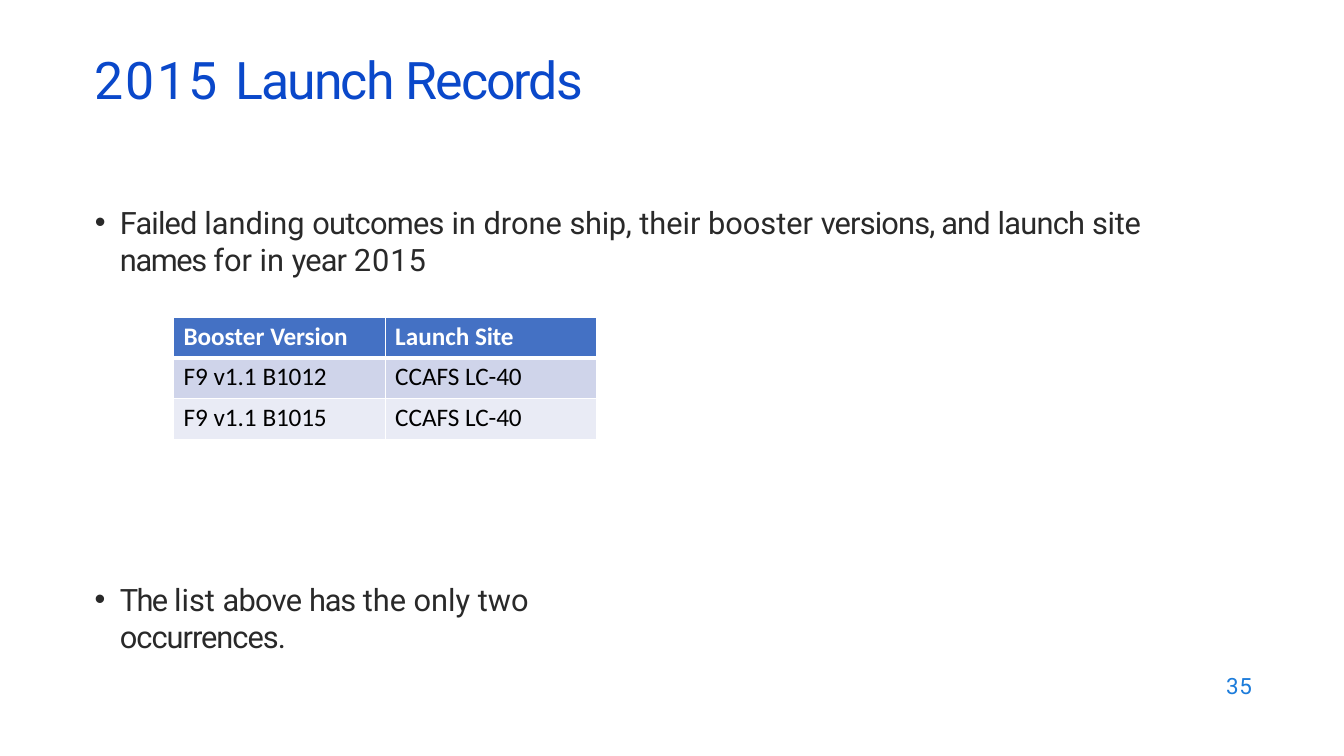
"""Build the slide of 2015 launch records."""
from dataclasses import dataclass

from lxml.etree import SubElement as Sub
from pptx import Presentation
from pptx.dml.color import RGBColor
from pptx.oxml.ns import qn
from pptx.util import Inches, Pt

NAVY = RGBColor(0x0A, 0x48, 0xCA)
INK = RGBColor(0x29, 0x29, 0x29)
SKY = RGBColor(0x1C, 0x7C, 0xDB)
WHITE = RGBColor(0xFF, 0xFF, 0xFF)
BLACK = RGBColor(0, 0, 0)
HEAD = RGBColor(0x44, 0x71, 0xC4)
BANDS = [RGBColor(0xCF, 0xD4, 0xEA), RGBColor(0xE9, 0xEB, 0xF5)]

Runs = list[tuple[str, float]]


@dataclass
class Style:
    face: str
    size: float
    color: RGBColor
    bold: bool = False
    left: float = 0
    hang: float = 0
    lead: float | None = None


@dataclass
class Box:
    at: tuple[float, float, float, float]
    style: Style
    runs: Runs
    top: float = 0.01


TITLE = Style("Roboto", 37, NAVY, left=0.01)
POINT = Style("Roboto", 22, INK, left=0.26, hang=-0.25)
PAGE = Style("Roboto", 16, SKY, left=0.04, lead=18.4)
LABEL = Style("Calibri", 18, WHITE, bold=True, left=0.1)
VALUE = Style("Calibri", 18, BLACK, left=0.1)

BOXES = [
    Box((0.93, 0.46, 10.85, 0.81), TITLE,
        [("2015 ", 1.6), ("Launch ", -1.3), ("Records", -1.4)]),
    Box((0.93, 2.01, 10.41, 0.76), POINT,
        [("Failed ", -0.6), ("landing ", 0), ("outcomes ", -0.5),
         ("in drone ", 0), ("ship, ", -0.2), ("their booster ", 0),
         ("versions, and ", -0.6), ("launch ", -0.5), ("site ", -0.2),
         ("names ", -1), ("for in ", 0), ("year ", -0.6), ("2015", 0.7)]),
    Box((0.93, 5.75, 6, 0.76), POINT,
        [("The ", -1.2), ("list ", 0), ("above ", -0.5), ("has ", -0.8),
         ("the only two ", 0), ("occurrences.", -0.7)]),
    Box((12.12, 6.68, 0.37, 0.28), PAGE, [("35", 0.5)], top=0),
]

SITE: Runs = [("CCAFS ", 0), ("LC-", -0.1), ("40", -0.2)]
ROWS: list[list[Runs]] = [
    [[("Booster ", 0), ("Version", -0.1)], [("Launch ", 0), ("Site", -0.2)]],
    [[("F9 v1.1 ", 0), ("B1012", -0.1)], SITE],
    [[("F9 v1.1 ", 0), ("B1015", -0.1)], SITE],
]
HIGH = [0.4, 0.4, 0.41]
WIDE = 2.1


def write(para, style: Style, runs: Runs) -> None:
    """Fill a paragraph with spaced runs in one style."""
    props = para._p.get_or_add_pPr()
    props.set("marL", str(Inches(style.left)))
    props.set("indent", str(Inches(style.hang)))
    if style.lead:
        para.line_spacing = Pt(style.lead)
    if style.hang:
        Sub(props, qn("a:buFont"), typeface="Arial")
        Sub(props, qn("a:buChar"), char="•")
    font = para.font
    font.name, font.size, font.bold = style.face, Pt(style.size), style.bold
    font.color.rgb = style.color
    for text, space in runs:
        run = para.add_run()
        run.text = text
        if space:
            run._r.get_or_add_rPr().set("spc", str(round(space * 100)))


def add_box(slide, box: Box) -> None:
    """Draw one text box."""
    frame = slide.shapes.add_textbox(*map(Inches, box.at)).text_frame
    frame.word_wrap = True
    frame.margin_left = frame.margin_right = frame.margin_bottom = 0
    frame.margin_top = Inches(box.top)
    write(frame.paragraphs[0], box.style, box.runs)


def edge(cell, side: str, width: float) -> None:
    """Give one side of a cell a white line."""
    props = cell._tc.get_or_add_tcPr()
    line = Sub(props, qn(f"a:ln{side}"), w=str(Pt(width)))
    fill = Sub(line, qn("a:solidFill"))
    Sub(fill, qn("a:srgbClr"), val=str(WHITE))


def add_grid(slide) -> None:
    """Draw the table of launches."""
    cols = len(ROWS[0])
    table = slide.shapes.add_table(
        len(ROWS), cols, Inches(1.72), Inches(3.15),
        Inches(WIDE * cols), Inches(sum(HIGH))).table
    for col in table.columns:
        col.width = Inches(WIDE)
    for y, (row, high) in enumerate(zip(ROWS, HIGH)):
        table.rows[y].height = Inches(high)
        for x, runs in enumerate(row):
            cell = table.cell(y, x)
            cell.margin_left = cell.margin_right = cell.margin_bottom = 0
            cell.margin_top = Inches(0.04)
            for side in "LRTB":
                thick = (y, side) in [(0, "B"), (1, "T")]
                edge(cell, side, 3 if thick else 1)
            cell.fill.solid()
            cell.fill.fore_color.rgb = BANDS[y - 1] if y else HEAD
            write(cell.text_frame.paragraphs[0], VALUE if y else LABEL, runs)


def main() -> None:
    """Build and save the deck."""
    deck = Presentation()
    deck.slide_width, deck.slide_height = Inches(13.33), Inches(7.5)
    slide = deck.slides.add_slide(deck.slide_layouts[6])
    for box in BOXES:
        add_box(slide, box)
    add_grid(slide)
    deck.save("out.pptx")


if __name__ == "__main__":
    main()
